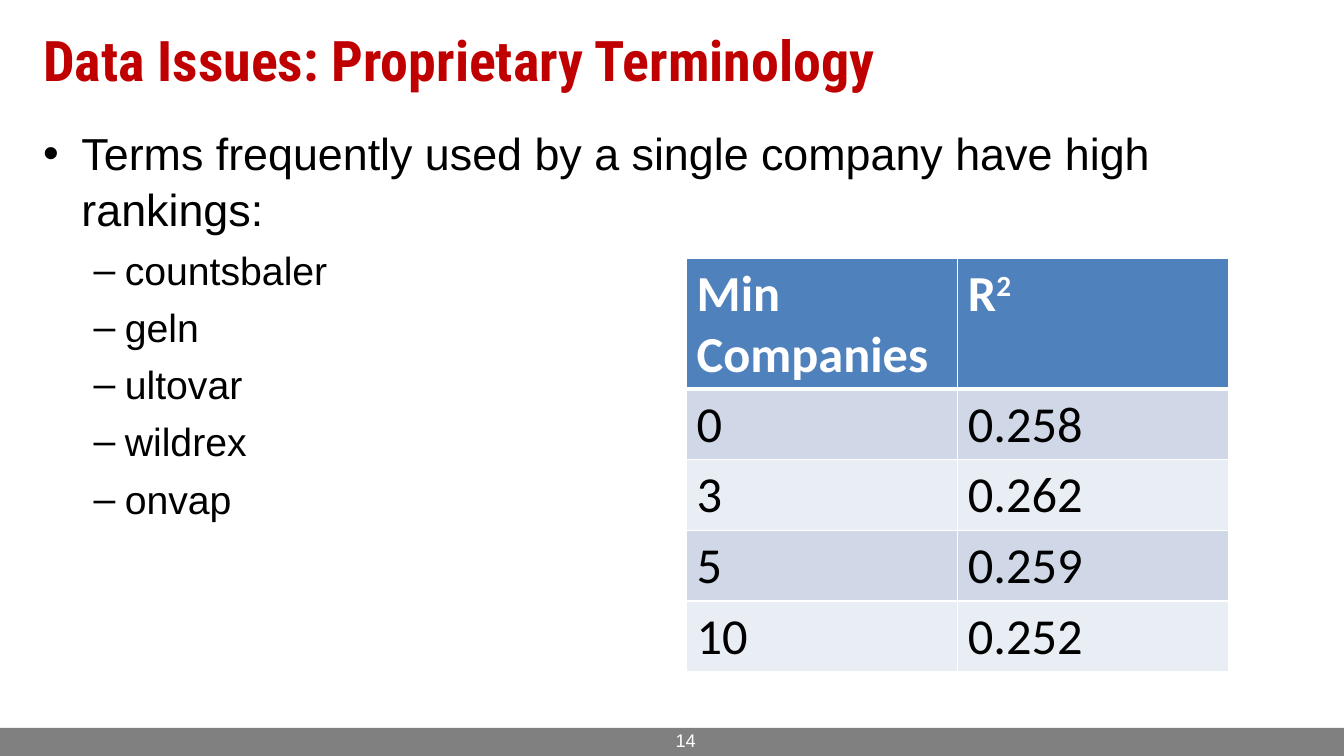
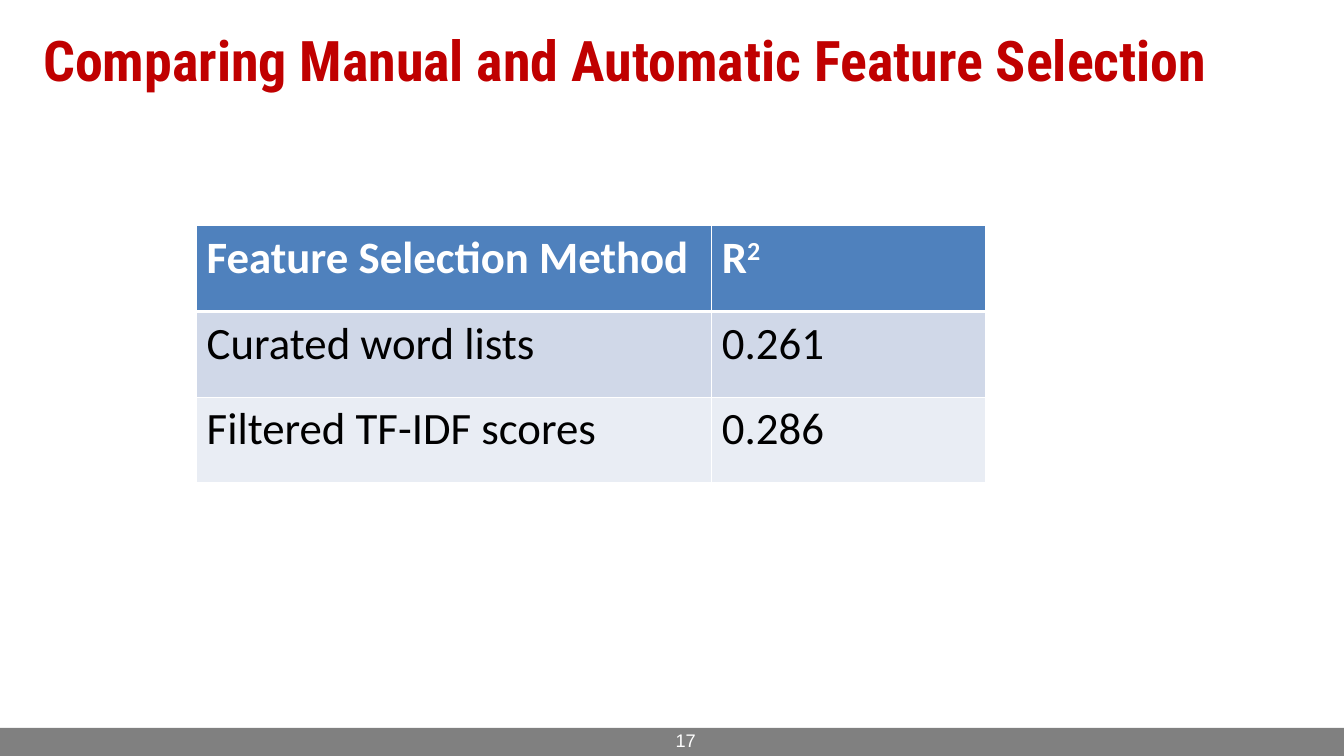
from lxml import etree
from pptx import Presentation
from pptx import util as u
from pptx.dml.color import RGBColor
from pptx.enum import shapes, text
from pptx.oxml.ns import qn


def rgb(value):
    return RGBColor.from_string(value)


class Deck:
    RED, GRAY, WHITE, BLACK = "C00000", "808080", "FFFFFF", "000000"
    HEAD, BANDS = "4F81BD", ("D0D8E8", "E9EDF4")
    TITLE_FONT, BODY_FONT, TABLE_FONT = "Roboto Condensed", "Arial", "Calibri"
    LEVELS = (("•", 32, 0.38, -0.38), ("–", 28, 0.81, -0.31))

    def __init__(self):
        self.prs = Presentation()
        self.prs.slide_width = u.Inches(13.33)
        self.prs.slide_height = u.Inches(7.5)
        self.s = None

    def run(self, p, content, size, font, color, bold=False):
        r = p.add_run()
        r.text = content
        r.font.size = u.Pt(size)
        r.font.name = font
        r.font.bold = bold
        r.font.color.rgb = rgb(color)
        return r

    def box(self, left, top, width, height, anchor):
        sp = self.s.shapes.add_textbox(*map(u.Inches, (left, top, width, height)))
        tf = sp.text_frame
        tf.word_wrap = True
        tf.vertical_anchor = anchor
        return tf

    def slide(self, title, number):
        self.s = self.prs.slides.add_slide(self.prs.slide_layouts[6])
        self.footer(number)
        tf = self.box(0.33, 0, 12.95, 1.17, text.MSO_ANCHOR.MIDDLE)
        self.run(tf.paragraphs[0], title, 40, self.TITLE_FONT, self.RED, True)

    def footer(self, number):
        sp = self.s.shapes.add_shape(
            shapes.MSO_SHAPE.RECTANGLE, 0, u.Inches(7.22), self.prs.slide_width, u.Inches(0.28))
        sp.shadow.inherit = False
        sp.fill.solid()
        sp.fill.fore_color.rgb = rgb(self.GRAY)
        sp.line.fill.background()
        tf = self.box(6.33, 7.3, 0.67, 0.15, text.MSO_ANCHOR.BOTTOM)
        tf.margin_bottom = 0
        p = tf.paragraphs[0]
        p.alignment = text.PP_ALIGN.RIGHT
        self.run(p, str(number), 13, self.BODY_FONT, self.WHITE)

    def bullets(self, items):
        tf = self.box(0.33, 1.17, 12.33, 5.92, text.MSO_ANCHOR.TOP)
        for i, (level, content) in enumerate(items):
            p = tf.add_paragraph() if i else tf.paragraphs[0]
            char, size, margin, indent = self.LEVELS[level]
            p.level = level
            p.line_spacing = 1.05
            p.space_before = u.Pt(size * 0.2)
            pPr = p._p.get_or_add_pPr()
            pPr.set("marL", str(u.Inches(margin)))
            pPr.set("indent", str(u.Inches(indent)))
            etree.SubElement(pPr, qn("a:buFont")).set("typeface", self.BODY_FONT)
            etree.SubElement(pPr, qn("a:buChar")).set("char", char)
            self.run(p, content, size, self.BODY_FONT, self.BLACK)

    def borders(self, cell, bottom):
        tcPr = cell._tc.get_or_add_tcPr()
        for i, (side, width) in enumerate((("L", 1), ("R", 1), ("T", 1), ("B", bottom))):
            ln = etree.Element(qn("a:ln" + side), w=str(u.Pt(width)))
            fill = etree.SubElement(ln, qn("a:solidFill"))
            etree.SubElement(fill, qn("a:srgbClr")).set("val", self.WHITE)
            tcPr.insert(i, ln)

    def table(self, left, top, widths, heights, size, rows):
        frame = self.s.shapes.add_table(
            len(rows), len(widths), u.Inches(left), u.Inches(top),
            u.Inches(sum(widths)), u.Inches(sum(heights)))
        tbl = frame.table
        tbl.first_row = tbl.horz_banding = False
        for column, width in zip(tbl.columns, widths):
            column.width = u.Inches(width)
        for i, (row, height) in enumerate(zip(rows, heights)):
            tbl.rows[i].height = u.Inches(height)
            head = i == 0
            for j, content in enumerate(row):
                cell = tbl.cell(i, j)
                cell.fill.solid()
                cell.fill.fore_color.rgb = rgb(self.HEAD if head else self.BANDS[(i - 1) % 2])
                self.borders(cell, 3 if head else 1)
                if i == 1:
                    cell._tc.tcPr.find(qn("a:lnT")).set("w", str(u.Pt(3)))
                p = cell.text_frame.paragraphs[0]
                color = self.WHITE if head else self.BLACK
                base, _, power = content.partition("^")
                self.run(p, base, size, self.TABLE_FONT, color, head)
                if power:
                    r = self.run(p, power, size, self.TABLE_FONT, color, head)
                    r._r.get_or_add_rPr().set("baseline", "30000")


def main():
    deck = Deck()

    deck.slide("Data Issues: Proprietary Terminology", 14)
    terms = ("countsbaler", "geln", "ultovar", "wildrex", "onvap")
    deck.bullets(
        [(0, "Terms frequently used by a single company have high rankings:")]
        + [(1, term) for term in terms])
    deck.table(6.81, 2.56, [2.69] * 2, [0.75] + [0.67] * 4, 36, [
        ("Min Companies", "R^2"),
        ("0", "0.258"),
        ("3", "0.262"),
        ("5", "0.259"),
        ("10", "0.252"),
    ])

    deck.slide("Comparing Manual and Automatic Feature Selection", 17)
    deck.table(1.95, 2.24, [5.11, 2.72], [0.85] * 3, 32, [
        ("Feature Selection Method", "R^2"),
        ("Curated word lists", "0.261"),
        ("Filtered TF-IDF scores", "0.286"),
    ])

    deck.prs.save("out.pptx")


if __name__ == "__main__":
    main()
